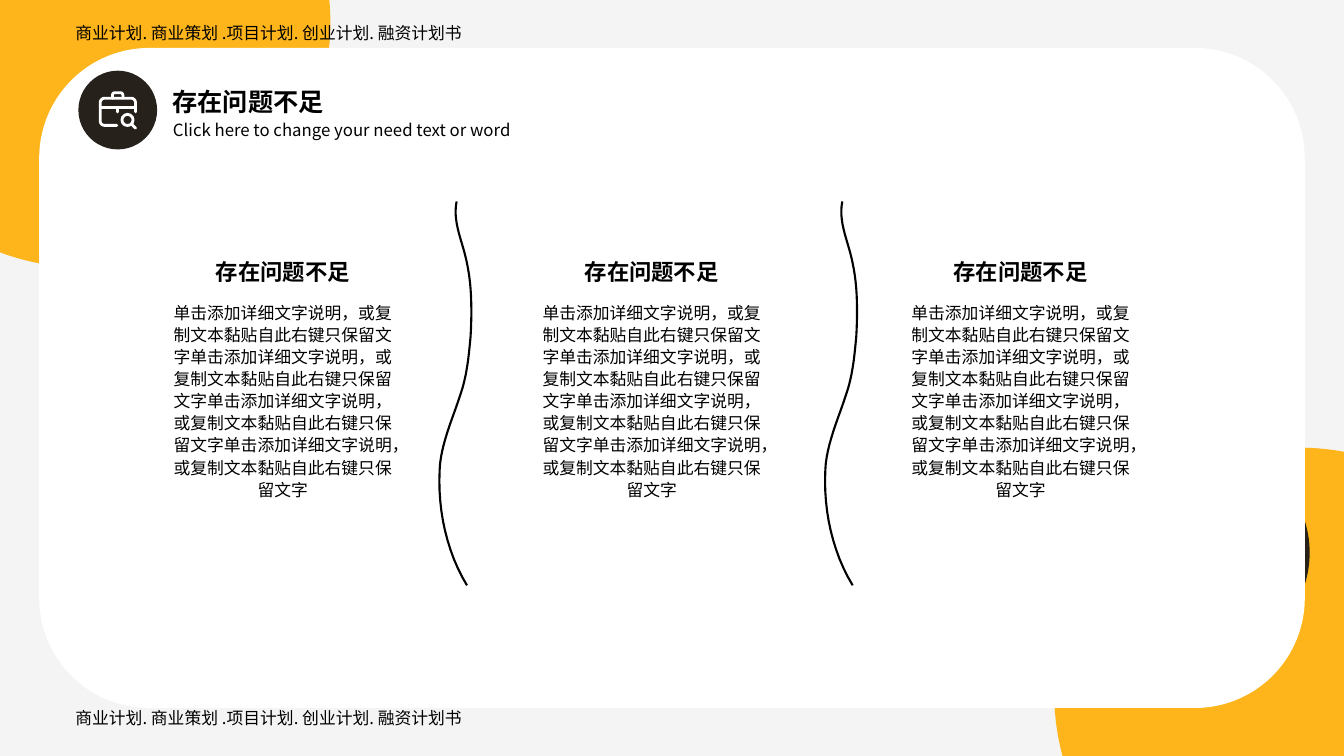
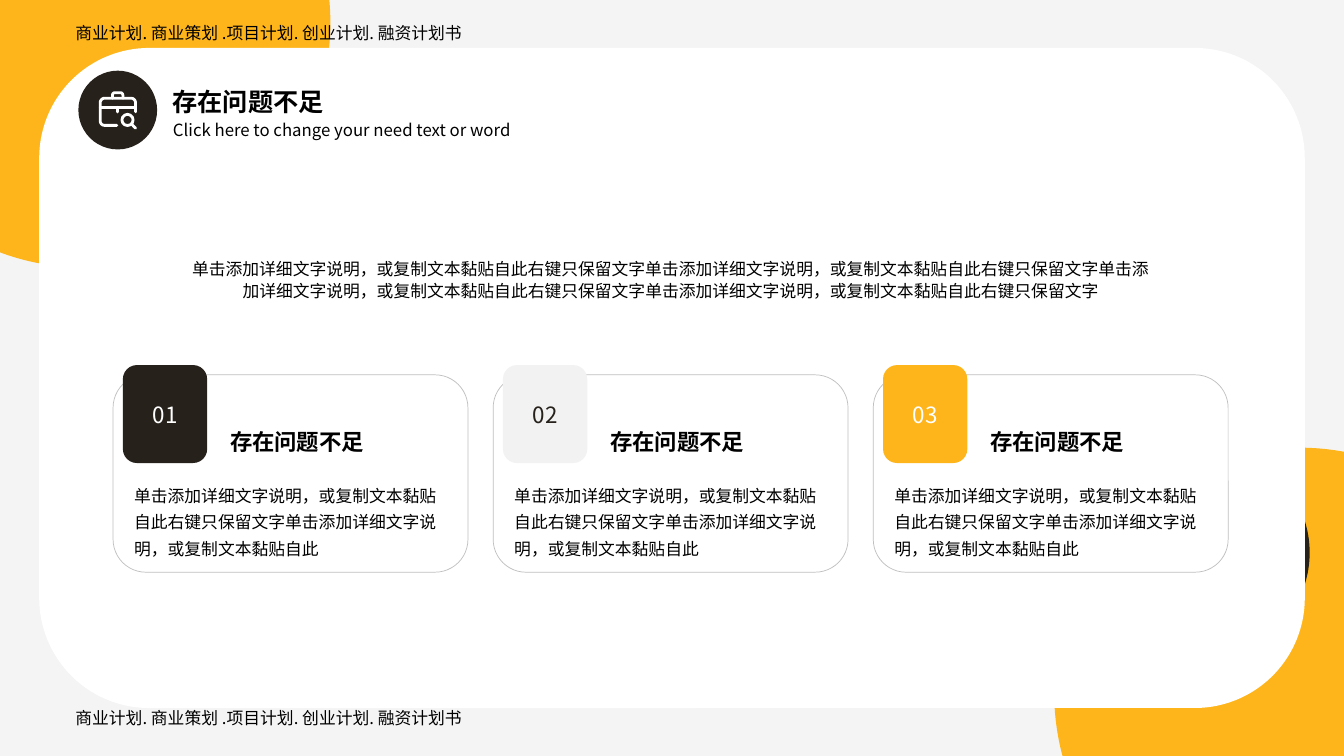
import pptx
import pptx.dml.color
import pptx.enum.shapes
import pptx.enum.text
import pptx.oxml
import pptx.oxml.ns
import pptx.util

Pt = pptx.util.Pt
SHAPE = pptx.enum.shapes.MSO_SHAPE
ALIGN = pptx.enum.text.PP_ALIGN
ANCHOR = pptx.enum.text.MSO_ANCHOR

FONT = "Noto Sans CJK SC"
COLOURS = {
    "page": "F4F4F4",
    "amber": "FEB51B",
    "ink": "26211B",
    "white": "FFFFFF",
    "black": "000000",
    "pale": "F2F2F2",
    "border": "BFBFBF",
}

HEADING = "存在问题不足"
SUBTITLE = "Click here to change your need text or word"
BAND = "商业计划. 商业策划 .项目计划. 创业计划. 融资计划书"
SENTENCE = "单击添加详细文字说明，或复制文本黏贴自此右键只保留文字"
LONG_TEXT = SENTENCE * 4
CARD_TEXT = SENTENCE + "单击添加详细文字说明，或复制文本黏贴自此"

BRIEFCASE_STROKES = [
    [(96.8, 79.9), [(96.8, 73.4)], [(96.8, 71.6), (95.4, 70.2), (93.6, 70.2)],
     [(74.8, 70.2)], [(73, 70.2), (71.6, 71.6), (71.6, 73.4)],
     [(71.6, 86.4)], [(71.6, 88.2), (73, 89.6), (74.8, 89.6)], [(83.5, 89.6)]],
    [(80.3, 70.2), [(80.3, 68.4)], [(80.3, 67), (81, 66.2), (82.3, 66.2)],
     [(85.8, 66.2)], [(87.1, 66.2), (87.8, 67), (87.8, 68.4)], [(87.8, 70.2)]],
    [(71.6, 76.7), [(96.8, 76.7)]],
    [(84, 76.7), [(84, 79.9)]],
    [(94, 88.6), [(96.8, 91.6)]],
]
WAVE = [
    (-133.7, 29.1),
    [(-120.4, 29.4), (-108.7, 21.4), (-97.5, 16.2)],
    [(-79.7, 7.7), (-60.1, 4), (-40.8, 1.4)],
    [(-27.3, 0.1), (-13.2, -1.2), (0.3, 0.7)],
    [(19.1, 3), (38.9, 8.1), (57.2, 5.4)],
    [(85.9, 1.4), (113.8, -10.5), (134.4, -29.1)],
]


def colour(name):
    return pptx.dml.color.RGBColor.from_string(COLOURS[name])


def write(shape, text, size=12, ink="black", bold=False, align=ALIGN.LEFT, spacing=None):
    paragraph = shape.text_frame.paragraphs[0]
    paragraph.text = text
    paragraph.alignment = align
    if spacing:
        paragraph.line_spacing = spacing
    font = paragraph.font
    font.name = FONT
    font.size = Pt(size)
    font.bold = bold
    font.color.rgb = colour(ink)
    east_asian = pptx.oxml.parse_xml(
        f'<a:ea {pptx.oxml.ns.nsdecls("a")} typeface="{FONT}"/>')
    font._element.find(pptx.oxml.ns.qn("a:latin")).addnext(east_asian)


def add_text(slide, box, text, inset=True, **style):
    shape = slide.shapes.add_textbox(*map(Pt, box))
    frame = shape.text_frame
    frame.word_wrap = True
    if not inset:
        frame.margin_left = frame.margin_right = 0
        frame.margin_top = frame.margin_bottom = 0
    write(shape, text, **style)


def paint(shape, fill=None, line=None, width=1):
    shape.shadow.inherit = False
    if fill:
        shape.fill.solid()
        shape.fill.fore_color.rgb = colour(fill)
    else:
        shape.fill.background()
    if line:
        shape.line.color.rgb = colour(line)
        shape.line.width = Pt(width)
    else:
        shape.line.fill.background()


def add_shape(slide, kind, box, **look):
    shape = slide.shapes.add_shape(kind, *map(Pt, box))
    paint(shape, **look)
    return shape


def bezier(points, steps=12):
    for step in range(1, steps + 1):
        t = step / steps
        weights = ((1 - t) ** 3, 3 * t * (1 - t) ** 2, 3 * t ** 2 * (1 - t), t ** 3)
        yield tuple(sum(weight * point[axis] for weight, point in zip(weights, points))
                    for axis in (0, 1))


def add_stroke(slide, stroke, line, width, origin=(0, 0)):
    start, *segments = stroke
    points = [start]
    for segment in segments:
        points += bezier([points[-1], *segment]) if len(segment) == 3 else segment
    points = [(Pt(x + origin[0]), Pt(y + origin[1])) for x, y in points]
    builder = slide.shapes.build_freeform(*points[0])
    builder.add_line_segments(points[1:], close=False)
    shape = builder.convert_to_shape()
    paint(shape, line=line, width=width)
    return shape


def add_briefcase(slide):
    add_shape(slide, SHAPE.FLOWCHART_CONNECTOR, (56, 50.5, 56.25, 56.25), fill="ink")
    for stroke in BRIEFCASE_STROKES:
        shape = add_stroke(slide, stroke, "white", 2)
        shape._element.spPr.get_or_add_ln().set("cap", "rnd")
    add_shape(slide, SHAPE.OVAL, (87.1, 81.7, 8, 8), line="white", width=2)


def add_page(presentation):
    slide = presentation.slides.add_slide(presentation.slide_layouts[5])
    slide.background.fill.solid()
    slide.background.fill.fore_color.rgb = colour("page")
    add_shape(slide, SHAPE.OVAL, (753, 319.75, 350, 350), fill="amber")
    ring = add_shape(slide, SHAPE.DONUT, (785.5, 319.75, 150, 150), fill="ink")
    ring.adjustments[0] = 0.135
    add_shape(slide, SHAPE.OVAL, (-114, -158.75, 350, 350), fill="amber")
    for top in (13, 502):
        add_text(slide, (46.75, top, 869, 22), BAND)
    add_shape(slide, SHAPE.ROUNDED_RECTANGLE, (28, 34.25, 904, 471.5), fill="white")
    add_briefcase(slide)

    title = slide.shapes.title
    title.left, title.top, title.width, title.height = map(Pt, (116, 51, 128, 43))
    title.text_frame.auto_size = pptx.enum.text.MSO_AUTO_SIZE.NONE
    title.text_frame.vertical_anchor = ANCHOR.MIDDLE
    write(title, HEADING, size=18, bold=True)
    slide.shapes._spTree.append(title._element)
    add_text(slide, (116.5, 82, 297, 22), SUBTITLE)
    return slide


def add_column(slide, left):
    add_text(slide, (left, 184.5, 157, 20), HEADING, inset=False,
             size=16, bold=True, align=ALIGN.CENTER)
    add_text(slide, (left, 214.5, 157, 160), LONG_TEXT, inset=False,
             align=ALIGN.CENTER, spacing=1.1)


def add_wave(slide, center):
    wave = add_stroke(slide, WAVE, "black", 1.5, (center, 281))
    wave.rotation = 100.7


def add_card(slide, left, number, fill, ink):
    add_shape(slide, SHAPE.ROUNDED_RECTANGLE, (left, 267.75, 253.5, 141),
              line="border", width=0.5)
    badge = add_shape(slide, SHAPE.ROUNDED_RECTANGLE, (left + 7, 260.75, 60.25, 70), fill=fill)
    badge.text_frame.vertical_anchor = ANCHOR.MIDDLE
    write(badge, number, size=16, ink=ink, align=ALIGN.CENTER)
    add_text(slide, (left + 76.5, 302.5, 130, 27), HEADING, size=16, bold=True)
    add_text(slide, (left + 8, 339.25, 235.5, 64), CARD_TEXT, spacing=1.3)


def main():
    presentation = pptx.Presentation()
    presentation.slide_width, presentation.slide_height = Pt(960), Pt(540)

    columns = add_page(presentation)
    for index in range(3):
        add_column(columns, 123.5 + 263.5 * index)
    for center in (329.5, 605):
        add_wave(columns, center)

    cards = add_page(presentation)
    add_text(cards, (127.75, 180, 703, 55), LONG_TEXT, align=ALIGN.CENTER, spacing=1.1)
    badges = [("01", "ink", "white"), ("02", "pale", "ink"), ("03", "amber", "white")]
    for index, badge in enumerate(badges):
        add_card(cards, 80.75 + 271.5 * index, *badge)

    presentation.save("out.pptx")


if __name__ == "__main__":
    main()
